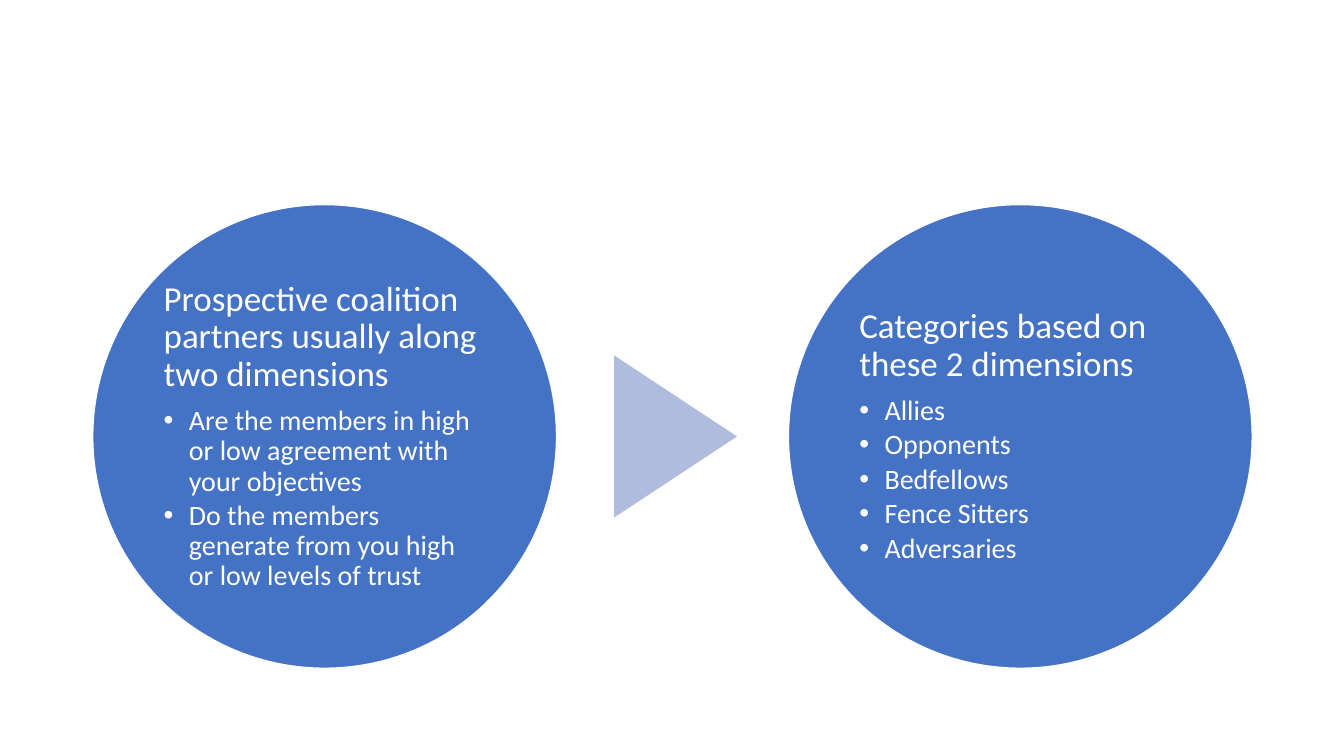
"""Build a slide with two circles of text joined by a triangle pointing right."""
from lxml import etree
from pptx import Presentation
from pptx.dml.color import RGBColor
from pptx.enum.shapes import MSO_SHAPE
from pptx.enum.text import MSO_ANCHOR, PP_ALIGN
from pptx.oxml.ns import qn
from pptx.util import Inches, Pt

OVAL = MSO_SHAPE.OVAL
TRIANGLE = MSO_SHAPE.ISOSCELES_TRIANGLE
MIDDLE = MSO_ANCHOR.MIDDLE
LEFT = PP_ALIGN.LEFT

COLORS = {"circle": "4472C4", "triangle": "B0BCDE", "white": "FFFFFF"}
HEADING = {"size": Pt(25), "space_after": Pt(8.75)}
BULLET = {"size": Pt(20), "space_after": Pt(3)}
FRAME = {"word_wrap": True, "vertical_anchor": MIDDLE}
FRAME.update({f"margin_{side}": Inches(0.03) for side in ("left", "top", "right", "bottom")})

FIRST_LEFT, CIRCLE_TOP, DIAMETER, PITCH = 0.92, 2.03, 4.6, 6.9
TRIANGLE_WIDTH, TRIANGLE_HEIGHT = 1.61, 1.22
TRIANGLE_CENTER = 6.7
INDENT = Inches(0.25)

CIRCLES = [
    ("Prospective coalition partners usually along two dimensions", [
        "Are the members in high or low agreement with your objectives",
        "Do the members generate from you high or low levels of trust",
    ]),
    ("Categories based on these 2 dimensions", [
        "Allies", "Opponents", "Bedfellows", "Fence Sitters", "Adversaries",
    ]),
]


def add_filled_shape(kind, left, top, width, height, color):
    """Add a shadowless shape with a solid fill, measured in inches."""
    shape = slide.shapes.add_shape(kind, *map(Inches, (left, top, width, height)))
    shape.shadow.inherit = False
    shape.fill.solid()
    shape.fill.fore_color.rgb = RGBColor.from_string(COLORS[color])
    return shape


def write_paragraph(paragraph, text, style):
    """Fill a paragraph with white text in the given style."""
    paragraph.text = text
    paragraph.alignment = LEFT
    paragraph.line_spacing = 0.9
    paragraph.space_after = style["space_after"]
    font = paragraph.runs[0].font
    font.name = "Calibri"
    font.size = style["size"]
    font.color.rgb = RGBColor.from_string(COLORS["white"])


presentation = Presentation()
presentation.slide_width = Inches(13.33)
presentation.slide_height = Inches(7.5)
slide = presentation.slides.add_slide(presentation.slide_layouts[6])

for column, (heading, bullets) in enumerate(CIRCLES):
    circle = add_filled_shape(
        OVAL, FIRST_LEFT + column * PITCH, CIRCLE_TOP, DIAMETER, DIAMETER, "circle")
    circle.line.color.rgb = RGBColor.from_string(COLORS["white"])
    circle.line.width = Pt(1)
    text_frame = circle.text_frame
    for name, value in FRAME.items():
        setattr(text_frame, name, value)
    write_paragraph(text_frame.paragraphs[0], heading, HEADING)
    for bullet in bullets:
        paragraph = text_frame.add_paragraph()
        paragraph.level = 1
        write_paragraph(paragraph, bullet, BULLET)
        properties = paragraph._p.get_or_add_pPr()
        properties.set("marL", str(INDENT))
        properties.set("indent", str(-INDENT))
        etree.SubElement(properties, qn("a:buFont"), typeface="Arial")
        etree.SubElement(properties, qn("a:buChar"), char="•")

triangle = add_filled_shape(
    TRIANGLE,
    TRIANGLE_CENTER - TRIANGLE_WIDTH / 2,
    CIRCLE_TOP + (DIAMETER - TRIANGLE_HEIGHT) / 2,
    TRIANGLE_WIDTH, TRIANGLE_HEIGHT, "triangle")
triangle.rotation = 90
triangle.line.fill.background()

presentation.save("out.pptx")
